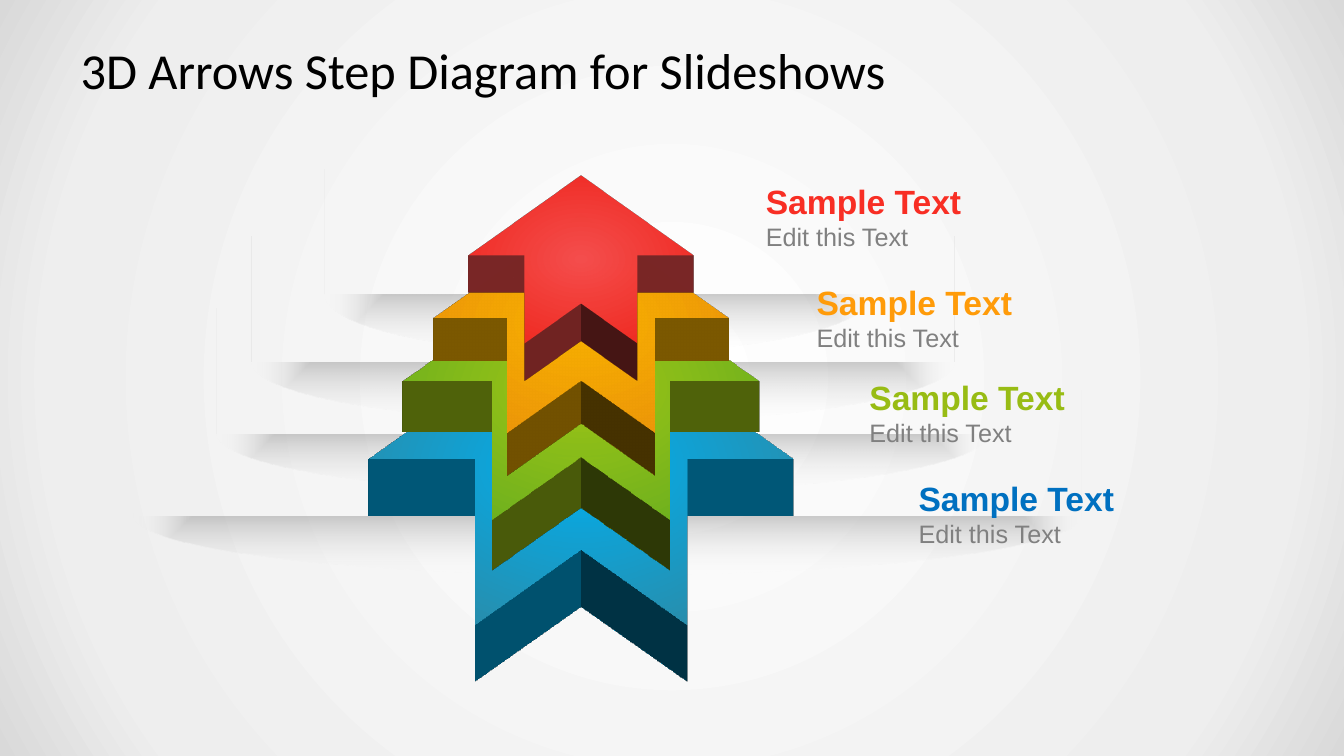
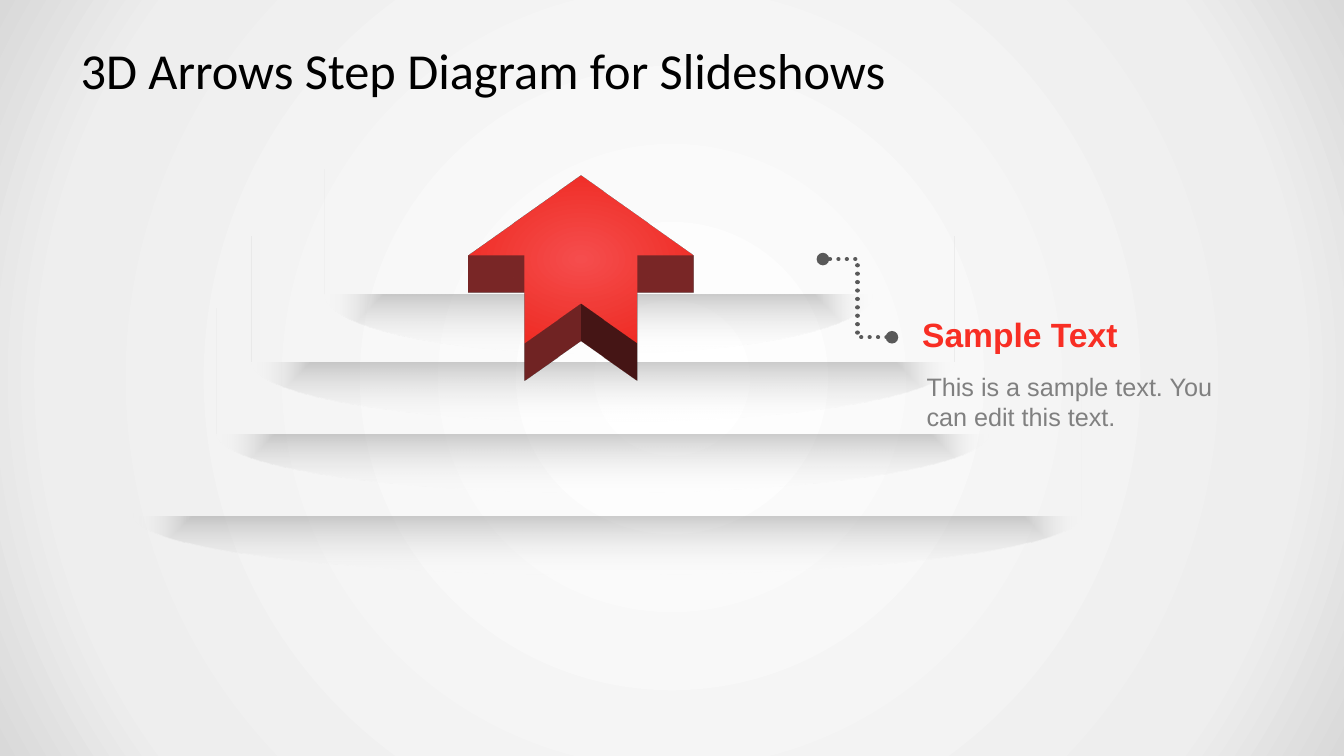
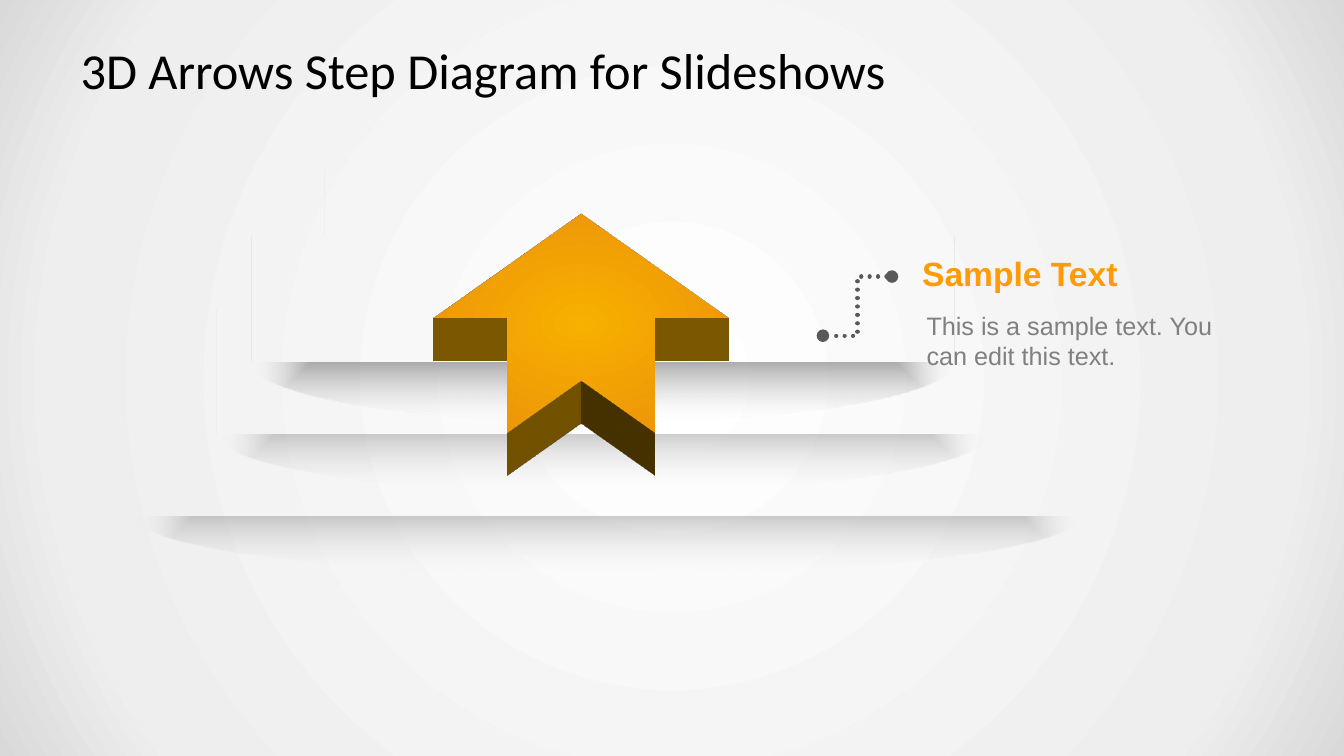
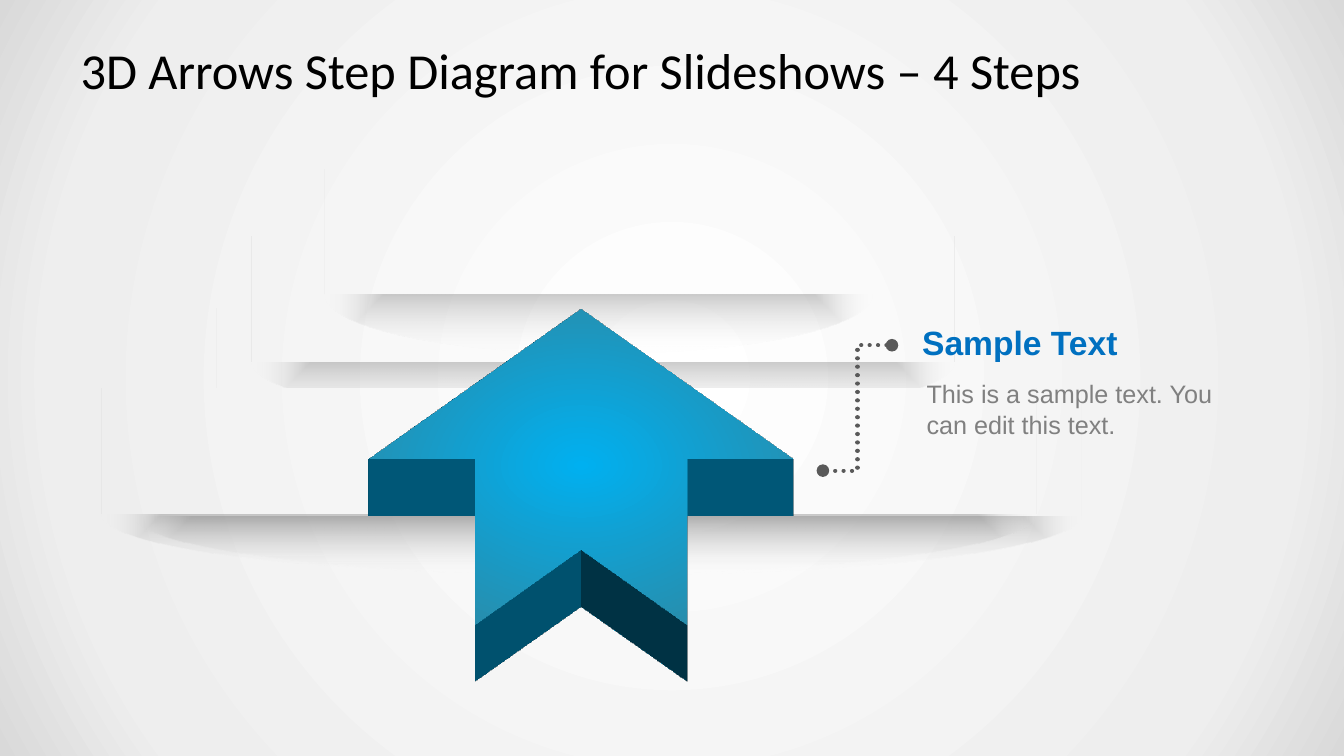
from dataclasses import dataclass
from typing import NamedTuple

from lxml.etree import SubElement
from pptx import Presentation
from pptx.dml.color import RGBColor as RGB
from pptx.enum.dml import MSO_LINE
from pptx.enum.shapes import MSO_CONNECTOR as Link, MSO_SHAPE as Preset
from pptx.enum.text import MSO_ANCHOR as Anchor, MSO_AUTO_SIZE as AutoSize, PP_ALIGN as Align
from pptx.oxml.ns import qn
from pptx.util import Cm, Pt


class Box(NamedTuple):
    """A region of the slide, in centimetres."""

    x: float
    y: float
    w: float
    h: float

    def emu(self):
        """Return the four lengths ready for python-pptx."""
        return [Cm(v) for v in self]


class Step(NamedTuple):
    """One arrow: its face box, thickness and colours."""

    face: Box
    depth: float
    heading: str
    inner: str
    outer: str


@dataclass(frozen=True)
class Theme:
    """Colours and type styles of the deck."""

    backdrop: tuple = ((0, "FFFFFF", 100), (81, "EEEEEE", 100), (100, "D9D9D9", 100))
    shade: tuple = ((0, "808080", 40), (100, "FFFFFF", 0))
    title_color: str = "000000"
    body_color: str = "808080"
    link_color: str = "595959"

    def font(self, role):
        """Return the font settings of a text role."""
        return {
            "title": {"name": "Calibri", "size": Pt(36), "bold": False},
            "heading": {"name": "Arial", "size": Pt(24), "bold": True},
            "body": {"name": "Arial", "size": Pt(18), "bold": False},
        }[role]


THEME = Theme()
TITLE = "3D Arrows Step Diagram for Slideshows"
HEADING = "Sample Text"
SHORT_BODY = "Edit this Text"
LONG_BODY = "This is a sample text. You can edit this text."
AXIS = 14.64
TILT = 315
TITLE_BOX = Box(1.7, 0.76, 30.48, 1.98)
SHELVES = [
    Box(3.38, 9.83, 23.88, 3.15),
    Box(5.46, 7.77, 19.46, 3.15),
    Box(6.35, 5.96, 17.7, 3.15),
    Box(8.18, 4.26, 13.82, 3.15),
]
WIDE_SHELF = Box(2.57, 9.8, 23.55, 3.15)


def face_box(top, width):
    """Return the box of an arrow face centred on the axis."""
    return Box(AXIS - width / 2, top, width, 1.05 * width)


RED = Step(face_box(3.56, 5.67), 1.33, "F82E24", "F64E4E", "EE241A")
ORANGE = Step(face_box(4.24, 7.44), 1.53, "FF9B09", "F8B100", "EB900B")
GREEN = Step(face_box(5.06, 8.98), 1.8, "98BC14", "9FC515", "63AC20")
BLUE = Step(face_box(6.12, 10.72), 2.03, "0070C0", "00B0F0", "31859C")


def set_gradient(fill, host, stops, kind="circle"):
    """Give a fill a gradient that spreads from its centre."""
    fill.gradient()
    grad = host.find(".//" + qn("a:gradFill"))
    grad.clear()
    grad.set("rotWithShape", "1")
    stop_list = SubElement(grad, qn("a:gsLst"))
    for place, color, opacity in stops:
        stop = SubElement(stop_list, qn("a:gs"), pos=str(place * 1000))
        rgb = SubElement(stop, qn("a:srgbClr"), val=color)
        if opacity < 100:
            SubElement(rgb, qn("a:alpha"), val=str(opacity * 1000))
    spread = SubElement(grad, qn("a:path"), path=kind)
    SubElement(spread, qn("a:fillToRect"), dict.fromkeys("ltrb", "50000"))


def extrude(sp, depth, color):
    """Tilt a shape back and give it a thickness in its own colour."""
    props = sp.element.spPr
    scene = SubElement(props, qn("a:scene3d"))
    camera = SubElement(scene, qn("a:camera"), prst="orthographicFront")
    SubElement(camera, qn("a:rot"), lat=str(TILT * 60000), lon="0", rev="0")
    SubElement(scene, qn("a:lightRig"), rig="threePt", dir="t")
    solid = SubElement(props, qn("a:sp3d"), extrusionH=str(Cm(depth)))
    side = SubElement(solid, qn("a:extrusionClr"))
    SubElement(side, qn("a:srgbClr"), val=color)


def write(tf, text, role, color):
    """Put one styled paragraph into a text frame."""
    tf.word_wrap = True
    p = tf.paragraphs[0]
    p.alignment = Align.LEFT
    r = p.add_run()
    r.text = text
    for key, value in THEME.font(role).items():
        setattr(r.font, key, value)
    r.font.color.rgb = RGB.from_string(color)


def add_text(s, box, text, role, color):
    """Add a text box that grows with its text."""
    tf = s.shapes.add_textbox(*box.emu()).text_frame
    write(tf, text, role, color)
    tf.auto_size = AutoSize.SHAPE_TO_FIT_TEXT


def add_plain(s, preset, box):
    """Add a preset shape without line or shadow."""
    sp = s.shapes.add_shape(preset, *box.emu())
    sp.shadow.inherit = False
    sp.line.fill.background()
    return sp


def add_shelf(s, box):
    """Add a shaded ellipse whose upper half a background panel covers."""
    shade = add_plain(s, Preset.OVAL, Box(box.x, box.y + 1.65, box.w, 3))
    set_gradient(shade.fill, shade.element, THEME.shade, "shape")
    panel = add_plain(s, Preset.RECTANGLE, box)
    panel.element.set("useBgFill", "1")


def add_arrow(s, step):
    """Add a notched arrow as a tilted solid."""
    box = step.face
    left, mid, right = (box.x + box.w * k for k in (0.25, 0.5, 0.75))
    end, bottom = box.x + box.w, box.y + box.h
    head, notch = box.y + box.w / 2, bottom - box.w / 4
    outline = [
        (mid, box.y), (end, head), (right, head), (right, bottom),
        (mid, notch), (left, bottom), (left, head), (box.x, head),
    ]
    start, *rest = [(Cm(x), Cm(y)) for x, y in outline]
    builder = s.shapes.build_freeform(*start)
    builder.add_line_segments(rest, close=True)
    sp = builder.convert_to_shape()
    sp.shadow.inherit = False
    sp.line.fill.background()
    set_gradient(sp.fill, sp.element, ((0, step.inner, 100), (100, step.outer, 100)))
    extrude(sp, step.depth, step.inner)


def add_link(s, x1, y1, x2, y2):
    """Add a dotted elbow connector with round ends."""
    link = s.shapes.add_connector(Link.ELBOW, *(Cm(v) for v in (x1, y1, x2, y2)))
    line = link.line
    line.color.rgb = RGB.from_string(THEME.link_color)
    line.width = Pt(3)
    line.dash_style = MSO_LINE.ROUND_DOT
    props = link.element.spPr
    ln = props.find(qn("a:ln"))
    ln.set("cap", "rnd")
    for end in ("a:headEnd", "a:tailEnd"):
        SubElement(ln, qn(end), type="oval")
    SubElement(props, qn("a:effectLst"))


def add_label(s, box, step, body, gap, indent=0.0):
    """Add a coloured heading with grey text below it."""
    add_text(s, Box(box.x, box.y, box.w, 1.27), HEADING, "heading", step.heading)
    add_text(s, Box(box.x + indent, box.y + gap, box.w, box.h - gap), body, "body", THEME.body_color)


def add_base(prs, title, extra_shelves=()):
    """Add a slide with its title and shelves."""
    s = prs.slides.add_slide(prs.slide_layouts[5])
    sp = s.shapes.title
    for key, value in zip(("left", "top", "width", "height"), TITLE_BOX.emu()):
        setattr(sp, key, value)
    tf = sp.text_frame
    write(tf, title, "title", THEME.title_color)
    margins = {"margin_left": 0.33, "margin_right": 0.33, "margin_top": 0.18, "margin_bottom": 0.18}
    for key, value in margins.items():
        setattr(tf, key, Cm(value))
    tf.vertical_anchor = Anchor.MIDDLE
    for box in [*SHELVES, *extra_shelves]:
        add_shelf(s, box)
    return s


def add_overview(prs):
    """Add the slide that stacks all arrows with their labels."""
    s = add_base(prs, TITLE)
    for step in (BLUE, GREEN, ORANGE, RED):
        add_arrow(s, step)
    corners = ((19.05, 4.43), (20.33, 6.98), (21.66, 9.37), (22.9, 11.91))
    for step, (x, y) in zip((RED, ORANGE, GREEN, BLUE), corners):
        add_label(s, Box(x, y, 6, 2.06), step, SHORT_BODY, 1.03)


def add_detail(prs, step, label_y, link_y, title=TITLE, extra_shelves=()):
    """Add a slide that explains one arrow."""
    s = add_base(prs, title, extra_shelves)
    add_arrow(s, step)
    add_link(s, 22.48, label_y + 0.72, 20.74, link_y)
    add_label(s, Box(22.99, label_y, 8.43, 3.25), step, LONG_BODY, 1.44, 0.11)


def main():
    """Build and save the deck."""
    prs = Presentation()
    prs.slide_width, prs.slide_height = Cm(33.87), Cm(19.05)
    master = prs.slide_master
    set_gradient(master.background.fill, master.element, THEME.backdrop)
    add_overview(prs)
    add_detail(prs, RED, 7.78, 6.53)
    add_detail(prs, ORANGE, 6.25, 8.46, extra_shelves=[SHELVES[2]])
    add_detail(prs, BLUE, 7.98, 11.86, TITLE + " – 4 Steps", [WIDE_SHELF])
    prs.save("out.pptx")


if __name__ == "__main__":
    main()
